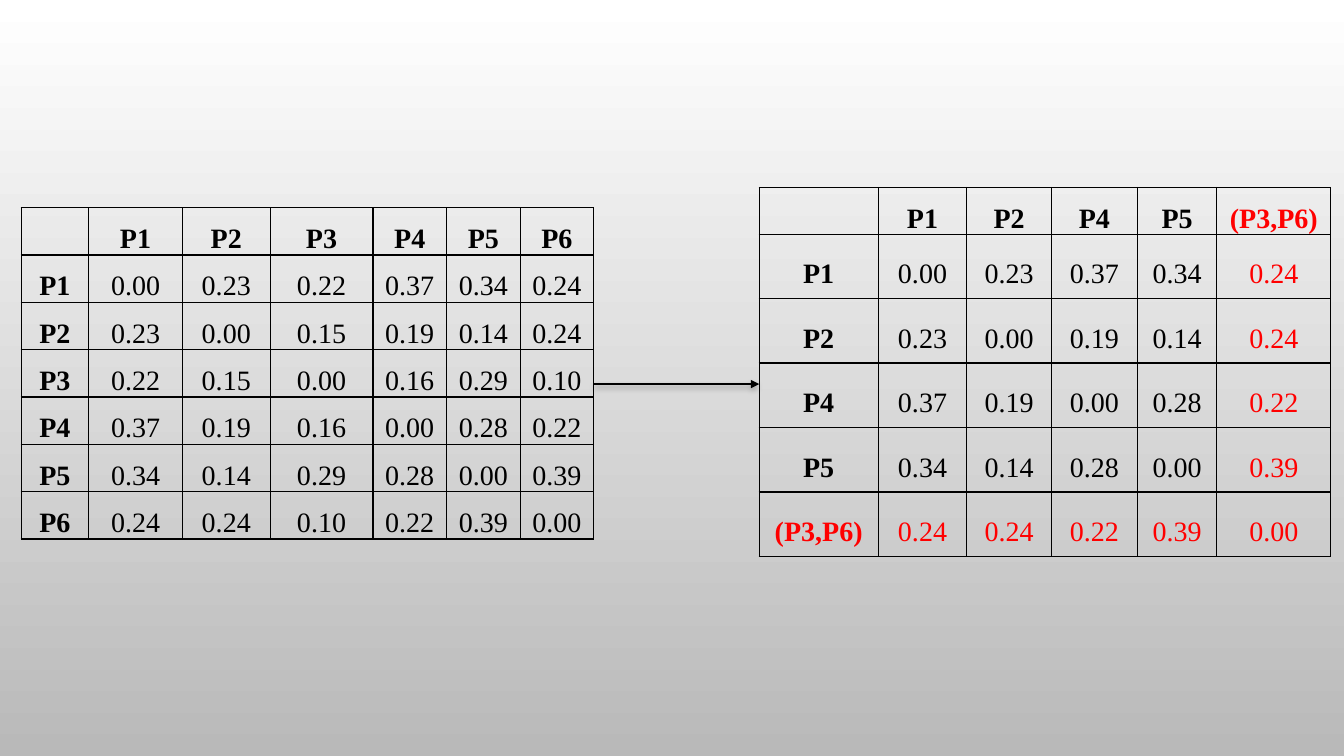
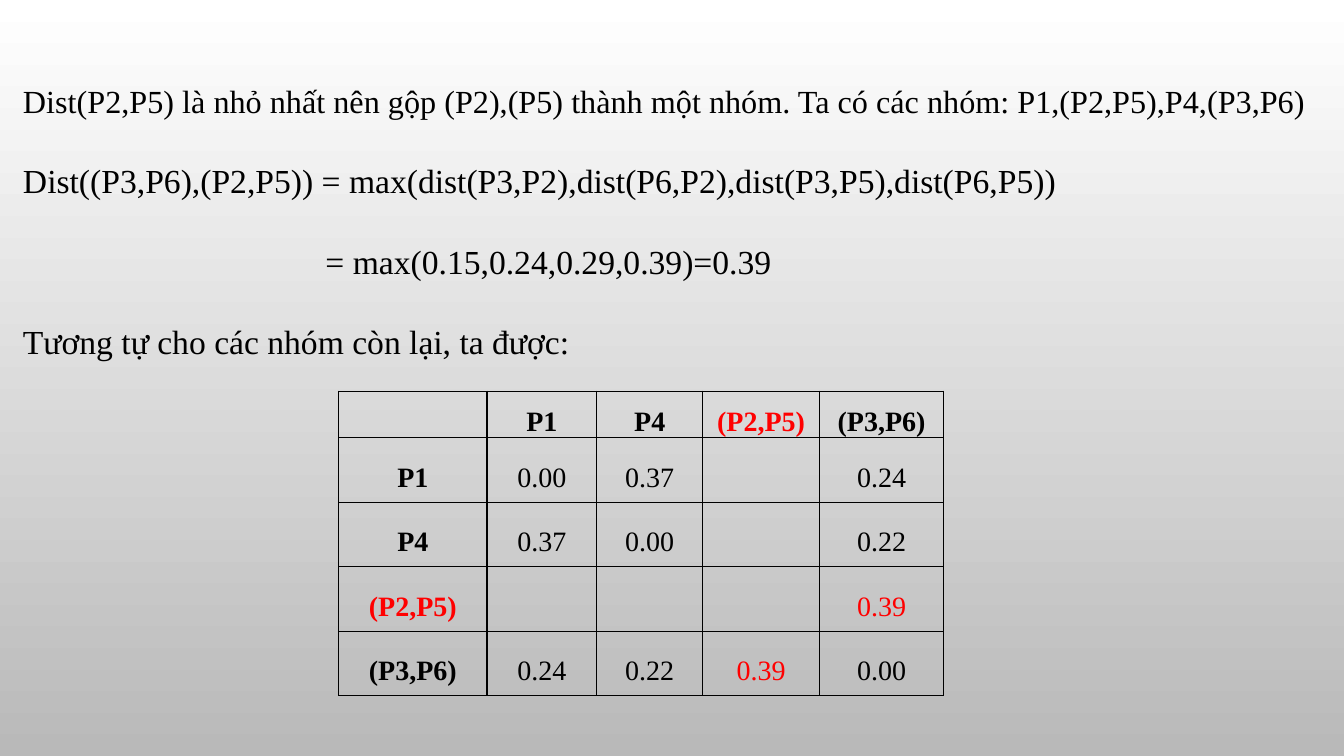
from dataclasses import dataclass

from lxml.etree import SubElement as Sub
from pptx import Presentation
from pptx.dml.color import RGBColor as Rgb
from pptx.enum.shapes import MSO_CONNECTOR as Conn
from pptx.enum.text import MSO_ANCHOR as Anchor
from pptx.enum.text import MSO_AUTO_SIZE as Auto
from pptx.enum.text import PP_ALIGN as Align
from pptx.oxml.ns import qn
from pptx.slide import Slide
from pptx.util import Inches, Pt


@dataclass(frozen=True)
class Theme:
    font: str = "Times New Roman"
    ink: str = "000000"
    hot: str = "FF0000"
    top: str = "FFFFFF"
    base: str = "B9B9B9"
    cell: float = 20
    lead: float = 23
    body: float = 24
    rule: float = 1
    arrow: float = 1.75


@dataclass(frozen=True)
class Grid:
    left: float
    top: float
    cols: list[float]
    head: float
    row: float
    names: list[str]
    vals: list[str]
    hot: str = ""


@dataclass(frozen=True)
class Line:
    text: str
    size: float
    indent: float = 0


THEME = Theme()

FULL = Grid(
    0.21, 2.06, [0.67, 0.93, 0.87, 1.02, 0.73, 0.73, 0.73], 0.47, 0.47,
    ["P1", "P2", "P3", "P4", "P5", "P6"],
    [
        "0.00 0.23 0.22 0.37 0.34 0.24",
        "0.23 0.00 0.15 0.19 0.14 0.24",
        "0.22 0.15 0.00 0.16 0.29 0.10",
        "0.37 0.19 0.16 0.00 0.28 0.22",
        "0.34 0.14 0.29 0.28 0.00 0.39",
        "0.24 0.24 0.10 0.22 0.39 0.00",
    ],
)
FIRST = Grid(
    7.53, 1.86, [1.18, 0.88, 0.84, 0.85, 0.79, 1.13], 0.46, 0.64,
    ["P1", "P2", "P4", "P5", "(P3,P6)"],
    [
        "0.00 0.23 0.37 0.34 0.24",
        "0.23 0.00 0.19 0.14 0.24",
        "0.37 0.19 0.00 0.28 0.22",
        "0.34 0.14 0.28 0.00 0.39",
        "0.24 0.24 0.22 0.39 0.00",
    ],
    hot="(P3,P6)",
)
NEXT = Grid(
    3.36, 3.88, [1.47, 1.09, 1.05, 1.16, 1.23], 0.46, 0.64,
    ["P1", "P4", "(P2,P5)", "(P3,P6)"],
    [
        "0.00 0.37 - 0.24",
        "0.37 0.00 - 0.22",
        "- - - 0.39",
        "0.24 0.22 0.39 0.00",
    ],
    hot="(P2,P5)",
)
STEPS = [
    Line("Dist(P2,P5) là nhỏ nhất nên gộp (P2),(P5) thành một nhóm. "
         "Ta có các nhóm: P1,(P2,P5),P4,(P3,P6)", THEME.lead),
    Line("Dist((P3,P6),(P2,P5)) = max(dist(P3,P2),dist(P6,P2),dist(P3,P5),dist(P6,P5))",
         THEME.body),
    Line("= max(0.15,0.24,0.29,0.39)=0.39", THEME.body, 3),
    Line("Tương tự cho các nhóm còn lại, ta được:", THEME.body),
]


def style(para, size: float, color: str, bold: bool = False) -> None:
    for run in para.runs:
        run.font.name = THEME.font
        run.font.size = Pt(size)
        run.font.bold = bold
        run.font.color.rgb = Rgb.from_string(color)


def frame(cell) -> None:
    props = cell._tc.get_or_add_tcPr()
    for side in ("lnL", "lnR", "lnT", "lnB"):
        edge = Sub(props, qn(f"a:{side}"), w=str(Pt(THEME.rule)))
        fill = Sub(edge, qn("a:solidFill"))
        Sub(fill, qn("a:srgbClr"), val=THEME.ink)
    cell.fill.background()


def fill_cell(cell, text: str, color: str, bold: bool) -> None:
    frame(cell)
    cell.vertical_anchor = Anchor.MIDDLE
    cell.margin_left = cell.margin_right = Inches(0.07)
    cell.margin_top = cell.margin_bottom = 0
    para = cell.text_frame.paragraphs[0]
    para.alignment = Align.CENTER
    para.line_spacing = 1.5
    para.space_before = Pt(6)
    if text:
        para.text = text
        style(para, THEME.cell, color, bold)


def add_grid(slide: Slide, grid: Grid) -> None:
    heads = ["", *grid.names]
    rows = [heads] + [
        [name, *("" if val == "-" else val for val in vals.split())]
        for name, vals in zip(grid.names, grid.vals)
    ]
    tall = grid.head + grid.row * len(grid.names)
    table = slide.shapes.add_table(
        len(rows), len(heads), Inches(grid.left), Inches(grid.top),
        Inches(sum(grid.cols)), Inches(tall),
    ).table
    table.first_row = table.horz_banding = False
    for col, wide in zip(table.columns, grid.cols):
        col.width = Inches(wide)
    for i, row in enumerate(rows):
        table.rows[i].height = Inches(grid.row if i else grid.head)
        for j, text in enumerate(row):
            hot = grid.hot and grid.hot in (heads[i], heads[j])
            color = THEME.hot if hot else THEME.ink
            fill_cell(table.cell(i, j), text, color, i == 0 or j == 0)


def add_arrow(slide: Slide, left: float, right: float, y: float) -> None:
    arrow = slide.shapes.add_connector(
        Conn.STRAIGHT, Inches(left), Inches(y), Inches(right), Inches(y))
    arrow.line.width = Pt(THEME.arrow)
    arrow.line.color.rgb = Rgb.from_string(THEME.ink)
    props = arrow._element.spPr
    Sub(props.find(qn("a:ln")), qn("a:tailEnd"), type="triangle")
    glow = Sub(props, qn("a:effectLst"))
    shade = Sub(glow, qn("a:outerShdw"), blurRad=str(Pt(4)), dist=str(Pt(2)),
                dir="5400000", rotWithShape="0")
    color = Sub(shade, qn("a:srgbClr"), val=THEME.ink)
    Sub(color, qn("a:alpha"), val="28000")


def add_lines(slide: Slide, lines: list[Line]) -> None:
    box = slide.shapes.add_textbox(
        Inches(0.13), Inches(0.37), Inches(13.2), Inches(3.3))
    body = box.text_frame
    body.word_wrap = True
    body.auto_size = Auto.SHAPE_TO_FIT_TEXT
    body.text = "\n".join(line.text for line in lines)
    for para, line in zip(body.paragraphs, lines):
        para.line_spacing = 2.0
        style(para, line.size, THEME.ink)
        if line.indent:
            para._p.get_or_add_pPr().set("marL", str(Inches(line.indent)))


def paint(deck) -> None:
    fill = deck.slide_master.background.fill
    fill.gradient()
    fill.gradient_angle = 270
    for stop, color in zip(fill.gradient_stops, (THEME.top, THEME.base)):
        stop.color.rgb = Rgb.from_string(color)


def main() -> None:
    deck = Presentation()
    deck.slide_width, deck.slide_height = Inches(13.33), Inches(7.5)
    paint(deck)
    blank = deck.slide_layouts[6]

    merge = deck.slides.add_slide(blank)
    add_grid(merge, FULL)
    add_grid(merge, FIRST)
    add_arrow(merge, FULL.left + sum(FULL.cols), FIRST.left, 3.81)

    group = deck.slides.add_slide(blank)
    add_grid(group, NEXT)
    add_lines(group, STEPS)

    deck.save("out.pptx")


if __name__ == "__main__":
    main()
